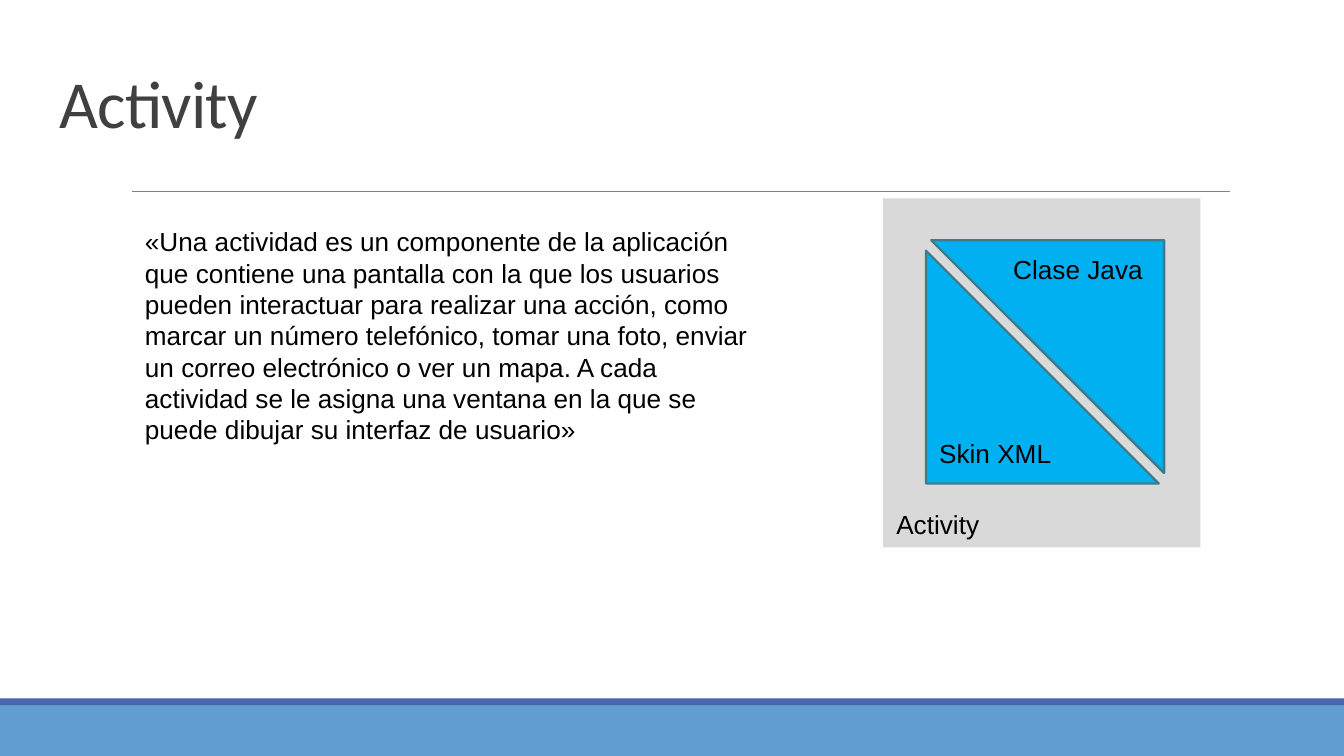
from lxml.etree import SubElement
from pptx import Presentation
from pptx.dml.color import RGBColor
from pptx.enum.shapes import MSO_CONNECTOR, MSO_SHAPE
from pptx.enum.text import MSO_ANCHOR
from pptx.oxml.ns import qn
from pptx.util import Cm, Pt

COLORS = {
    "band": "629DD1",
    "stripe": "4A66AC",
    "rule": "808080",
    "title": "404040",
    "text": "000000",
    "panel": "D9D9D9",
    "triangle": "00B0F0",
    "outline": "417B85",
}
SLIDE_WIDTH, SLIDE_HEIGHT = 25.4, 14.29
LABEL_HEIGHT = 0.86
DEFINITION = (
    "«Una actividad es un componente de la aplicación que contiene una pantalla "
    "con la que los usuarios pueden interactuar para realizar una acción, como "
    "marcar un número telefónico, tomar una foto, enviar un correo electrónico o "
    "ver un mapa. A cada actividad se le asigna una ventana en la que se puede "
    "dibujar su interfaz de usuario»"
)


def color(name):
    return RGBColor.from_string(COLORS[name])


def format_font(font, name, size, color_name):
    font.name = name
    font.size = Pt(size)
    font.color.rgb = color(color_name)


def add_filled(slide, kind, box, fill, outline=None):
    shape = slide.shapes.add_shape(kind, *map(Cm, box))
    shape.shadow.inherit = False
    shape.fill.solid()
    shape.fill.fore_color.rgb = color(fill)
    if outline:
        shape.line.color.rgb = color(outline)
        shape.line.width = Pt(1.25)
    else:
        shape.line.fill.background()
    return shape


def add_text(slide, box, text):
    text_frame = slide.shapes.add_textbox(*map(Cm, box)).text_frame
    text_frame.word_wrap = True
    text_frame.text = text
    format_font(text_frame.paragraphs[0].runs[0].font, "Arial", 14, "text")


def add_footer(slide, box):
    """Blue band with a thin darker stripe along its top."""
    left, top, width, height = box
    stripe = 0.13
    add_filled(slide, MSO_SHAPE.RECTANGLE,
               (left, top + stripe, width, height - stripe), "band")
    add_filled(slide, MSO_SHAPE.RECTANGLE, (left, top, width, stripe), "stripe")


def add_rule(slide, left, right, top):
    line = slide.shapes.add_connector(
        MSO_CONNECTOR.STRAIGHT, Cm(left), Cm(top), Cm(right), Cm(top))
    line.line.color.rgb = color("rule")
    line.line.width = Pt(0.5)
    SubElement(line._element.spPr, qn("a:effectLst"))


def set_title(slide, box, text):
    title = slide.shapes.title
    title.left, title.top, title.width, title.height = map(Cm, box)
    text_frame = title.text_frame
    text_frame.text = text
    text_frame.word_wrap = True
    text_frame.vertical_anchor = MSO_ANCHOR.MIDDLE
    text_frame.margin_left = text_frame.margin_right = Cm(0.25)
    text_frame.margin_top = text_frame.margin_bottom = Cm(0.25)
    paragraph = text_frame.paragraphs[0]
    paragraph.line_spacing = 0.85
    # The layout centres titles; this one starts at the left.
    paragraph._p.get_or_add_pPr().set("algn", "l")
    run = paragraph.runs[0]
    format_font(run.font, "Calibri", 36, "title")
    run._r.get_or_add_rPr().set("spc", "-40")


def add_activity_diagram(slide, box):
    """Panel holding two facing triangles, each with its label."""
    left, top, width, height = box
    side = 4.4
    add_filled(slide, MSO_SHAPE.RECTANGLE, box, "panel")
    add_text(slide, (left, top + height - LABEL_HEIGHT, 4.11, LABEL_HEIGHT), "Activity")
    for x, y, rotation in ((0.81, 0.99, 0), (0.91, 0.79, 180)):
        triangle = add_filled(slide, MSO_SHAPE.RIGHT_TRIANGLE,
                              (left + x, top + y, side, side), "triangle", "outline")
        triangle.rotation = rotation
    for x, y, text in ((0.81, 4.39, "Skin XML"), (2.21, 0.91, "Clase Java")):
        add_text(slide, (left + x, top + y, 3, LABEL_HEIGHT), text)


def main():
    presentation = Presentation()
    presentation.slide_width = Cm(SLIDE_WIDTH)
    presentation.slide_height = Cm(SLIDE_HEIGHT)
    slide = presentation.slides.add_slide(presentation.slide_layouts[5])
    add_footer(slide, (0, 13.2, SLIDE_WIDTH, SLIDE_HEIGHT - 13.2))
    add_rule(slide, 2.49, 23.24, 3.62)
    set_title(slide, (0.87, 1.24, 23.67, 1.6), "Activity")
    add_activity_diagram(slide, (16.69, 3.75, 6, 6.6))
    add_text(slide, (2.49, 4.14, 12.2, 5.05), DEFINITION)
    presentation.save("out.pptx")


if __name__ == "__main__":
    main()
